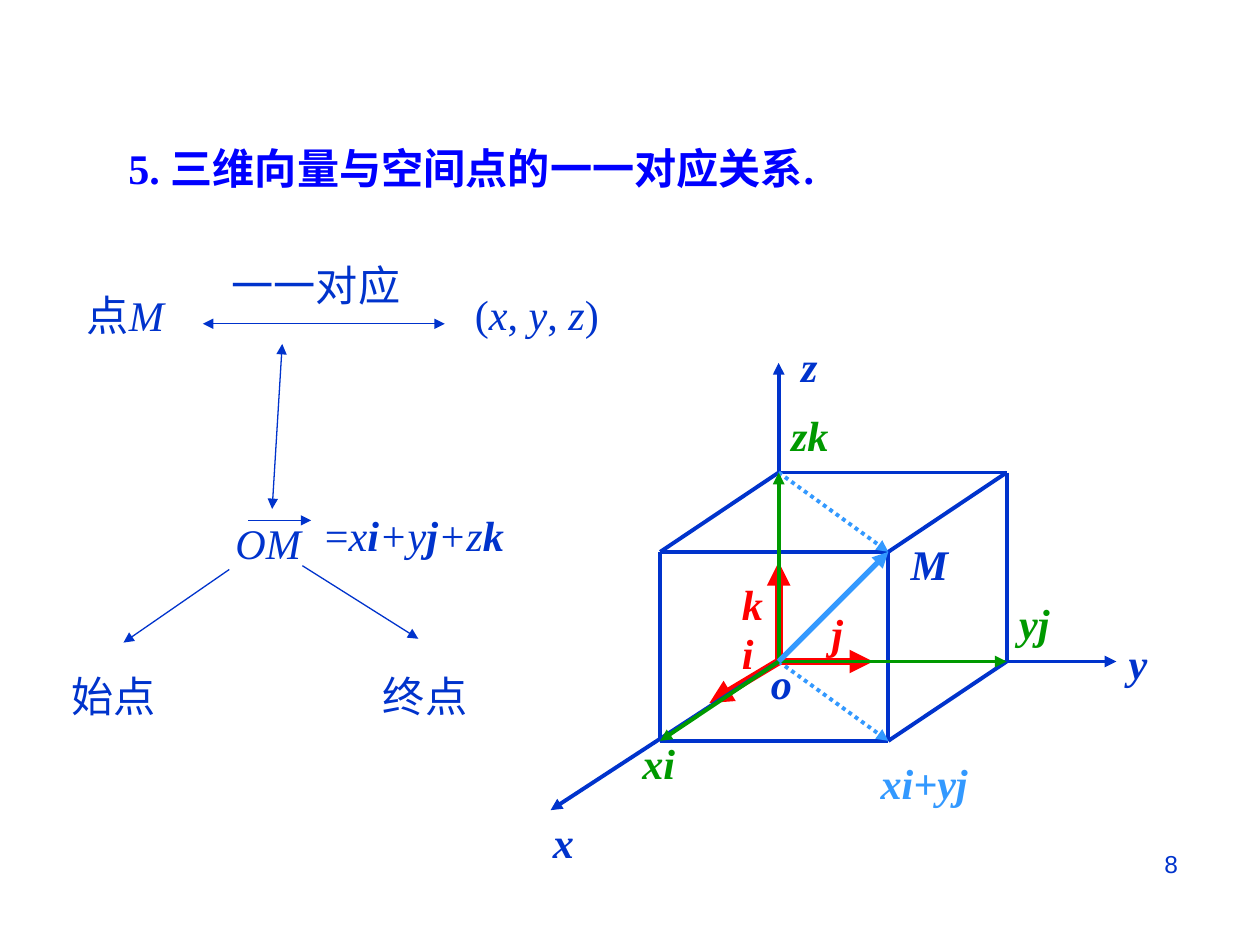
from dataclasses import dataclass

from lxml.etree import SubElement
from pptx import Presentation
from pptx.dml.color import RGBColor
from pptx.enum.dml import MSO_LINE_DASH_STYLE as Dash
from pptx.enum.shapes import MSO_CONNECTOR as Connector
from pptx.enum.text import MSO_AUTO_SIZE as AutoSize, PP_ALIGN as Align
from pptx.oxml.ns import qn
from pptx.util import Inches, Pt

COLUMNS = 100  # the slide is a grid of 100 columns by 75 rows
TEXT_ROWS = 5.1


@dataclass(frozen=True)
class Theme:
    ink: str = "0033CC"
    title: str = "0000FF"
    unit: str = "FF0000"
    component: str = "009900"
    vector: str = "3399FF"
    font: str = "Times New Roman"
    number_font: str = "Arial"
    text_size: float = 24.1
    number_size: float = 14
    thin: float = 0.75
    medium: float = 2.25
    bold: float = 3
    heavy: float = 4.5


class SlideBuilder:
    def __init__(self, presentation, theme):
        self.theme = theme
        self.cell = presentation.slide_width / COLUMNS
        self.slide = presentation.slides.add_slide(presentation.slide_layouts[6])

    def grid(self, *values):
        return [round(value * self.cell) for value in values]

    def text(self, left, top, width, runs, color=None, wrap=False, shapes=None):
        """Add text; runs are (text, style) pairs, style holding b and/or i."""
        shapes = shapes or self.slide.shapes
        box = shapes.add_textbox(*self.grid(left, top, width, TEXT_ROWS))
        frame = box.text_frame
        frame.word_wrap = wrap
        frame.auto_size = AutoSize.SHAPE_TO_FIT_TEXT
        for words, style in runs:
            run = frame.paragraphs[0].add_run()
            run.text = words
            font = run.font
            font.name, font.size = self.theme.font, Pt(self.theme.text_size)
            font.bold, font.italic = "b" in style, "i" in style
            font.color.rgb = RGBColor.from_string(color or self.theme.ink)
        return box

    def line(self, start, end, width, color=None, arrows="", dash=None, shapes=None):
        """Add a line; arrows names the ends, head at start and tail at end."""
        shapes = shapes or self.slide.shapes
        connector = shapes.add_connector(
            Connector.STRAIGHT, *self.grid(*start, *end))
        connector.line.width = Pt(width)
        connector.line.color.rgb = RGBColor.from_string(color or self.theme.ink)
        if dash:
            connector.line.dash_style = dash
        outline = connector.line._get_or_add_ln()
        for name in arrows.split():
            SubElement(outline, qn(f"a:{name}End"), type="triangle")
        SubElement(connector._element.spPr, qn("a:effectLst"))

    def page_number(self, left, top, width, number):
        box = self.text(left, top, width, [(number, "")], wrap=True)
        frame = box.text_frame
        frame.auto_size = AutoSize.NONE
        frame.margin_left = frame.margin_right = Inches(0.32)
        frame.margin_top = frame.margin_bottom = Inches(0.16)
        paragraph = frame.paragraphs[0]
        paragraph.alignment = Align.RIGHT
        font = paragraph.runs[0].font
        font.name, font.size = self.theme.number_font, Pt(self.theme.number_size)


def add_correspondence(builder):
    thin = builder.theme.thin
    # Point and coordinates
    builder.text(5.9, 22.5, 9.1, [("点", ""), ("M", "i")])
    builder.line((16.1, 25.7), (35.3, 25.7), thin, arrows="head tail")
    builder.text(17.4, 20.1, 15.6, [("一一对应", "")])
    builder.text(36.7, 22.4, 12, [("(", ""), ("x", "i"), (", ", ""), ("y", "i"),
                                  (", ", ""), ("z", "i"), (")", "")])
    # Links to the vector and its two ends
    builder.line((21.6, 40.4), (22.4, 27.3), thin, arrows="head tail")
    builder.line((24, 44.9), (33.2, 50.7), thin, arrows="tail")
    builder.line((18.2, 45.2), (9.8, 51), thin, arrows="tail")
    for left, label in ((4.7, "始点"), (29.4, "终点")):
        builder.text(left, 52.7, 8.8, [(label, "")])
    # Vector OM with its overline arrow
    group = builder.slide.shapes.add_group_shape().shapes
    builder.text(17.7, 40.6, 9, [("OM", "i")], wrap=True, shapes=group)
    builder.line((19.7, 41.3), (24.7, 41.3), thin, arrows="tail", shapes=group)
    builder.text(24.8, 39.9, 16.4, [("=", ""), ("x", "i"), ("i", "bi"), ("+y", "i"),
                                    ("j", "bi"), ("+z", "i"), ("k", "bi")])


def corner(i, j, k):
    """Project a box corner, given in box edges, to the grid."""
    return 61.8 - 9.4 * i + 18.1 * j, 52.5 + 6.3 * i - 15 * k


def add_box(builder):
    theme = builder.theme
    origin, point = corner(0, 0, 0), corner(1, 1, 1)
    x_end, y_end, z_end = corner(1, 0, 0), corner(0, 1, 0), corner(0, 0, 1)
    xy, xz, yz = corner(1, 1, 0), corner(1, 0, 1), corner(0, 1, 1)

    # Unit vectors, then axes
    for end in ((61.8, 44.6), (56.3, 55.8), (69.3, 52.5)):
        builder.line(origin, end, theme.heavy, theme.unit, "tail")
    for end in ((88.6, 52.5), (43.7, 64.3), (61.8, 28.8)):
        builder.line(origin, end, theme.medium, arrows="tail")

    # Box edges
    for start, end in ((z_end, yz), (yz, y_end), (z_end, xz), (xz, x_end), (y_end, xy),
                       (x_end, xy), (xz, point), (yz, point), (point, xy)):
        builder.line(start, end, theme.medium)

    # Dotted diagonals and components
    for start, end in ((origin, xy), (z_end, point)):
        builder.line(start, end, theme.medium, theme.vector, "tail", Dash.ROUND_DOT)
    for end in (x_end, y_end, z_end):
        builder.line(origin, end, theme.medium, theme.component, "tail")

    # Labels
    for left, top, width, label, color in (
            (62.6, 26.5, 3.3, "z", theme.ink),
            (50, 58, 4.7, "xi", theme.component),
            (71.3, 42.2, 5, "M", theme.ink),
            (88.6, 50.1, 3.5, "y", theme.ink),
            (42.9, 64.3, 3.7, "x", theme.ink),
            (61.8, 32, 5, "zk", theme.component),
            (79.9, 46.9, 4.5, "yj", theme.component),
            (65, 47.7, 3, "j", theme.unit),
            (57.9, 45.4, 3.7, "k", theme.unit),
            (57.9, 49.3, 3, "i", theme.unit),
            (68.9, 59.6, 9, "xi+yj", theme.vector),
            (60.2, 51.7, 3.7, "o", theme.ink)):
        builder.text(left, top, width, [(label, "bi")], color)

    # Vector OM
    builder.line(origin, point, theme.bold, theme.vector, "tail")


def main():
    presentation = Presentation()
    presentation.slide_width, presentation.slide_height = Inches(10), Inches(7.5)
    theme = Theme()
    builder = SlideBuilder(presentation, theme)
    builder.page_number(71.7, 65.8, 25, "8")
    builder.text(9.2, 10.8, 69.1, [("5. 三维向量与空间点的一一对应关系.", "b")],
                 theme.title, wrap=True)
    add_correspondence(builder)
    add_box(builder)
    presentation.save("out.pptx")


if __name__ == "__main__":
    main()
